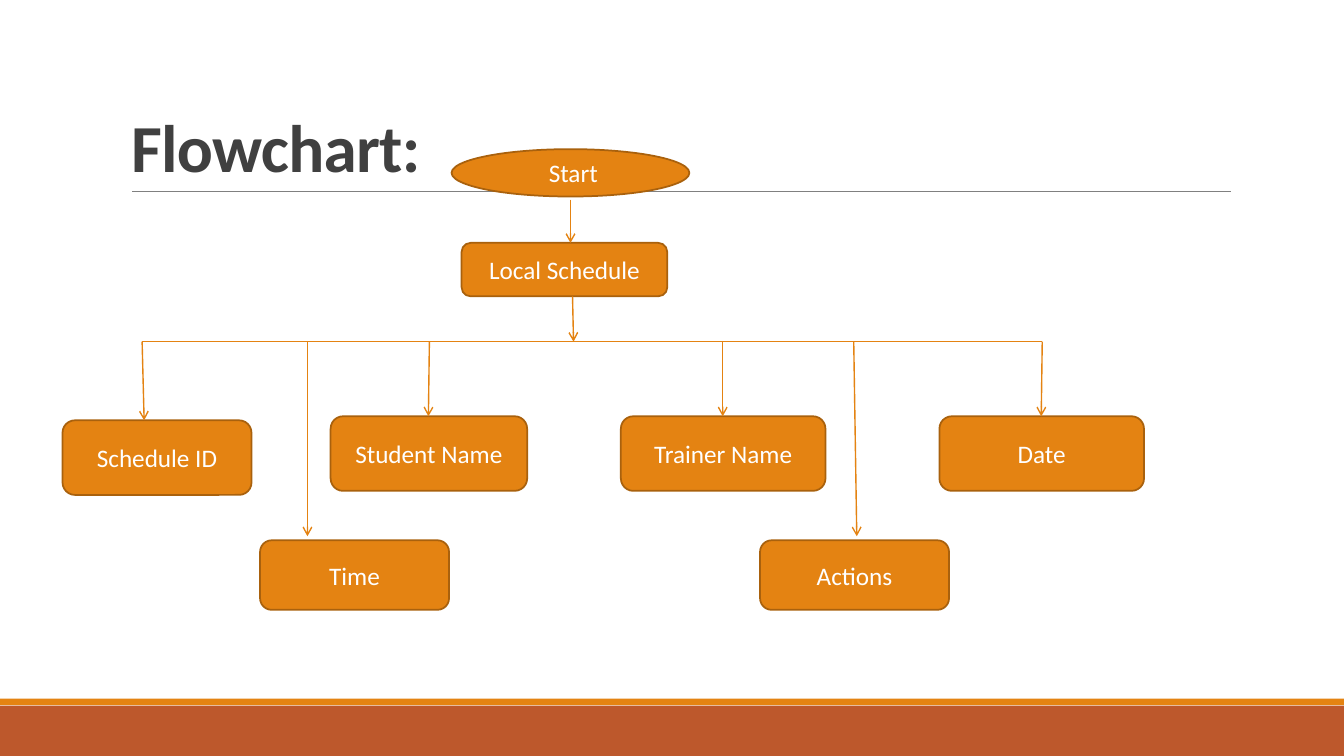
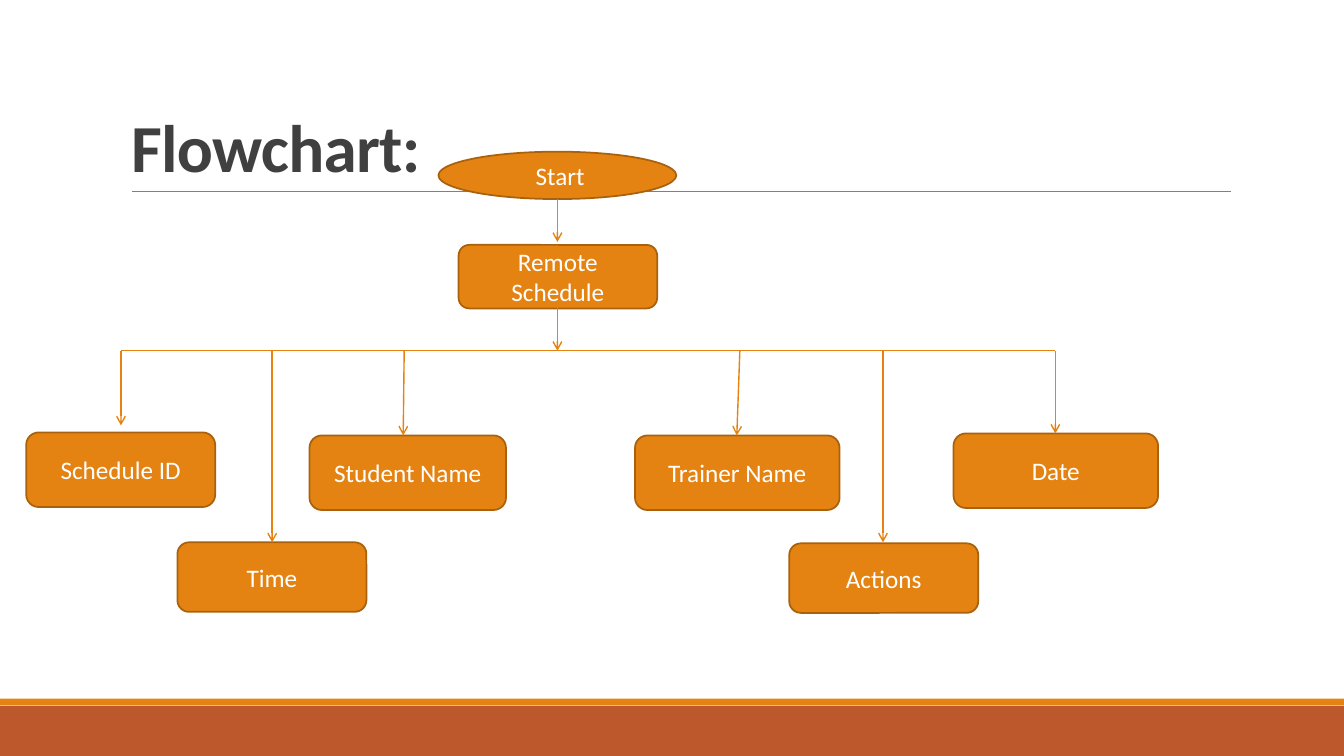
import dataclasses

import lxml.etree
import pptx
import pptx.dml.color
import pptx.enum.shapes
import pptx.enum.text
import pptx.oxml.ns
import pptx.util

# Square grid: the slide is 53.33 columns wide and 30 rows high.
CELL = pptx.util.Inches(0.25)
COLUMNS, ROWS = 160 / 3, 30

FONT = "Calibri"
ORANGE, RUST, BROWN = "E48312", "BD582C", "A9610D"
GREY, CHARCOAL, WHITE = "808080", "404040", "FFFFFF"

SHAPES = pptx.enum.shapes.MSO_SHAPE
START_SIZE = (9.44, 1.88)
FIELD_SIZES = {
    "Schedule ID": (7.5, 2.96),
    "Student Name": (7.8, 2.96),
    "Trainer Name": (8.12, 2.96),
    "Date": (8.12, 2.96),
    "Time": (7.5, 2.76),
    "Actions": (7.5, 2.76),
}


@dataclasses.dataclass
class Field:
    """A box under the branch line, with its arrow from branch_x to tip."""
    name: str
    corner: tuple
    branch_x: float
    tip: tuple


@dataclasses.dataclass
class Flowchart:
    schedule: str
    start_corner: tuple
    schedule_corner: tuple
    schedule_size: tuple
    trunk_arrows: list
    branch_y: float
    fields: list


LOCAL = Flowchart(
    schedule="Local Schedule",
    start_corner=(17.92, 5.92),
    schedule_corner=(18.32, 9.64),
    schedule_size=(8.16, 2.12),
    trunk_arrows=[((22.64, 7.92), (22.64, 9.64)),
                  ((22.72, 11.76), (22.76, 13.56))],
    branch_y=13.56,
    fields=[
        Field("Schedule ID", (2.48, 16.68), 5.64, (5.72, 16.68)),
        Field("Time", (10.32, 21.44), 12.2, (12.2, 21.28)),
        Field("Student Name", (13.12, 16.52), 17.04, (17, 16.52)),
        Field("Trainer Name", (24.64, 16.52), 28.68, (28.68, 16.52)),
        Field("Actions", (30.16, 21.44), 33.88, (34, 21.28)),
        Field("Date", (37.28, 16.52), 41.36, (41.32, 16.52)),
    ],
)

REMOTE = Flowchart(
    schedule="Remote Schedule",
    start_corner=(17.4, 6.02),
    schedule_corner=(18.2, 9.72),
    schedule_size=(7.88, 2.52),
    trunk_arrows=[((22.12, 7.88), (22.12, 9.6)),
                  ((22.12, 12.2), (22.12, 13.92))],
    branch_y=13.92,
    fields=[
        Field("Schedule ID", (1.04, 17.16), 4.8, (4.8, 16.88)),
        Field("Time", (7.04, 21.52), 10.8, (10.8, 21.52)),
        Field("Student Name", (12.28, 17.28), 16.04, (16, 17.28)),
        Field("Trainer Name", (25.2, 17.28), 29.36, (29.24, 17.28)),
        Field("Actions", (31.32, 21.56), 35.04, (35.04, 21.52)),
        Field("Date", (37.84, 17.2), 41.88, (41.88, 17.2)),
    ],
)


def cells(*counts):
    return [round(count * CELL) for count in counts]


def rgb(hex_color):
    return pptx.dml.color.RGBColor.from_string(hex_color)


def add_text(paragraph, text, size, color, bold=False):
    run = paragraph.add_run()
    run.text = text
    run.font.name = FONT
    run.font.size = pptx.util.Pt(size)
    run.font.bold = bold
    run.font.color.rgb = rgb(color)
    return run


def add_filled(slide, preset, corner, size, fill):
    shape = slide.shapes.add_shape(preset, *cells(*corner, *size))
    shape.shadow.inherit = False
    shape.fill.solid()
    shape.fill.fore_color.rgb = rgb(fill)
    shape.line.fill.background()
    return shape


def add_box(slide, preset, corner, size, label):
    box = add_filled(slide, preset, corner, size, ORANGE)
    box.line.color.rgb = rgb(BROWN)
    box.line.width = pptx.util.Pt(1.25)
    box.text_frame.word_wrap = True
    box.text_frame.vertical_anchor = pptx.enum.text.MSO_ANCHOR.MIDDLE
    paragraph = box.text_frame.paragraphs[0]
    paragraph.alignment = pptx.enum.text.PP_ALIGN.CENTER
    add_text(paragraph, label, 18, WHITE)


def add_line(slide, begin, end, color=ORANGE, width=1, arrow=False):
    line = slide.shapes.add_connector(
        pptx.enum.shapes.MSO_CONNECTOR.STRAIGHT, *cells(*begin, *end))
    line.line.color.rgb = rgb(color)
    line.line.width = pptx.util.Pt(width)
    qn = pptx.oxml.ns.qn
    properties = line.element.spPr
    if arrow:
        lxml.etree.SubElement(properties.find(qn("a:ln")), qn("a:tailEnd"), type="arrow")
    lxml.etree.SubElement(properties, qn("a:effectLst"))
    return line


def move_to_layout(slide, decorations):
    for decoration in decorations:
        slide.slide_layout.shapes.element.append(decoration.element)


def decorate_layout(slide):
    """Give the slide's layout the two footer bands and the title rule."""
    move_to_layout(slide, [
        add_filled(slide, SHAPES.RECTANGLE, (0, 28), (COLUMNS, 2), RUST),
        add_filled(slide, SHAPES.RECTANGLE, (0, 27.72), (COLUMNS, 0.26), ORANGE),
        add_line(slide, (5.24, 7.6), (48.84, 7.6), GREY, 0.5),
    ])


def set_title(slide, text):
    title = slide.shapes.title
    title.left, title.top, title.width, title.height = cells(4.8, 1.24, 44, 6.36)
    frame = title.text_frame
    frame.word_wrap = True
    frame.auto_size = pptx.enum.text.MSO_AUTO_SIZE.NONE
    frame.vertical_anchor = pptx.enum.text.MSO_ANCHOR.BOTTOM
    paragraph = frame.paragraphs[0]
    paragraph.alignment = pptx.enum.text.PP_ALIGN.LEFT
    paragraph.line_spacing = 0.85
    run = add_text(paragraph, text, 48, CHARCOAL, bold=True)
    run.font._element.set("spc", "-50")


def draw_flowchart(slide, chart):
    add_box(slide, SHAPES.OVAL, chart.start_corner, START_SIZE, " Start")
    add_box(slide, SHAPES.ROUNDED_RECTANGLE, chart.schedule_corner,
            chart.schedule_size, chart.schedule)
    for begin, end in chart.trunk_arrows:
        add_line(slide, begin, end, arrow=True)
    add_line(slide, (chart.fields[0].branch_x, chart.branch_y),
             (chart.fields[-1].branch_x, chart.branch_y))
    for field in chart.fields:
        add_box(slide, SHAPES.ROUNDED_RECTANGLE, field.corner,
                FIELD_SIZES[field.name], field.name)
        add_line(slide, (field.branch_x, chart.branch_y), field.tip, arrow=True)


def main():
    deck = pptx.Presentation()
    deck.slide_width, deck.slide_height = cells(COLUMNS, ROWS)
    title_only = deck.slide_layouts.get_by_name("Title Only")
    for number, chart in enumerate((LOCAL, REMOTE)):
        slide = deck.slides.add_slide(title_only)
        if number == 0:
            decorate_layout(slide)
        set_title(slide, "Flowchart:")
        draw_flowchart(slide, chart)
    deck.save("out.pptx")


if __name__ == "__main__":
    main()
